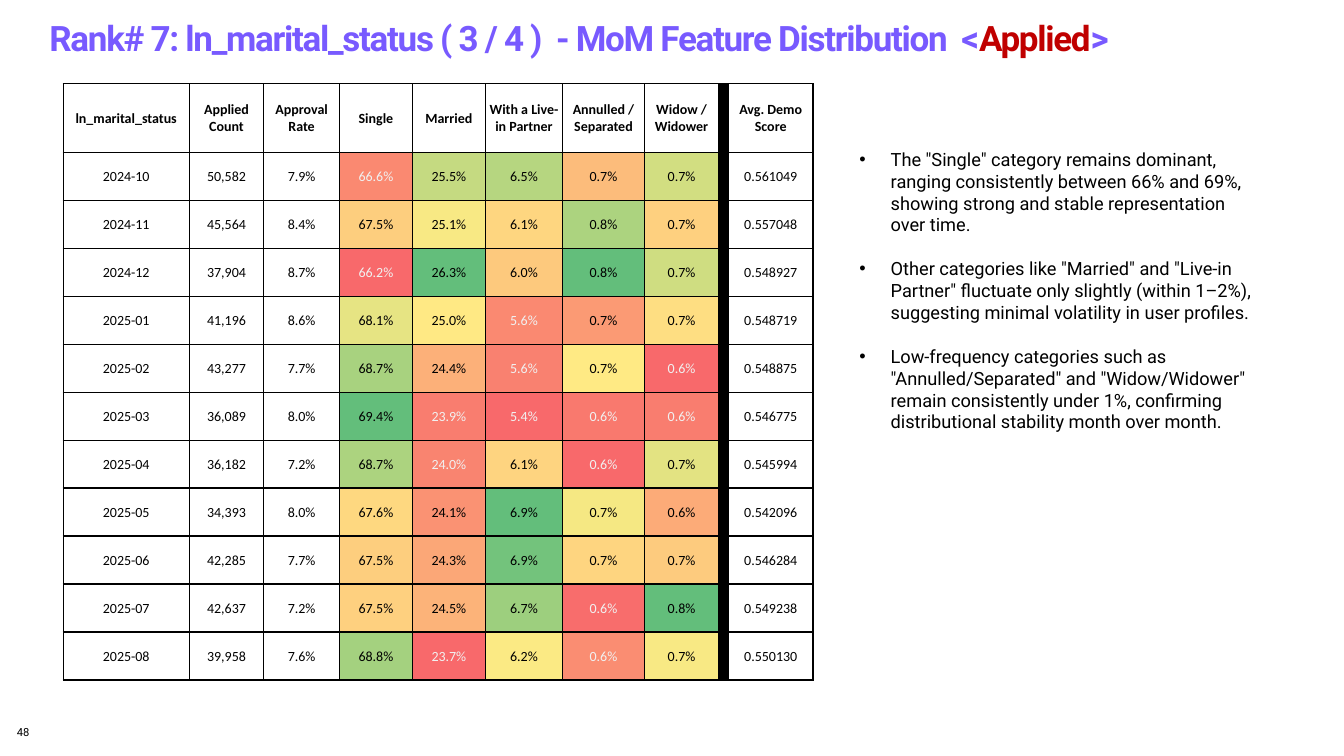
from typing import Any, NamedTuple

from lxml.etree import SubElement
from pptx import Presentation
from pptx.dml.color import RGBColor
from pptx.enum.text import MSO_ANCHOR, MSO_AUTO_SIZE, PP_ALIGN
from pptx.oxml.ns import qn
from pptx.util import Inches, Pt

SLIDE_WIDTH, SLIDE_HEIGHT = Inches(13.33), Inches(7.5)

COLOURS = {
    "ink": "000000",
    "pale": "F1F1F1",
    "violet": "785AFF",
    "red": "C00000",
}


class Box(NamedTuple):
    """Left, top, width and height in percent of the slide."""
    left: float
    top: float
    width: float
    height: float


class Column(NamedTuple):
    heading: str
    width: float  # percent of the slide width


class Month(NamedTuple):
    label: str
    applied: str
    approval: str
    shares: str
    heat: str  # fills of the five share cells
    score: str


TITLE_BOX = Box(3.68, 1.6, 96.32, 6.8)
FINDINGS_BOX = Box(63.2, 18.93, 30.8, 39.33)
NUMBER_BOX = Box(1.25, 95.95, 21.9, 3.33)
TABLE_BOX = Box(4.7, 11.07, 55.81, 78.93)
HEADER_HEIGHT = 9.07

COLUMNS = [
    Column("ln_marital_status", 9.38),
    Column("Applied Count", 5.55),
    Column("Approval Rate", 5.63),
    Column("Single", 5.43),
    Column("Married", 5.43),
    Column("With a Live-in Partner", 5.75),
    Column("Annulled / Separated", 6.08),
    Column("Widow / Widower", 5.54),
    Column("", 0.72),
    Column("Avg. Demo Score", 6.3),
]
DIVIDER = 8

MONTHS = [
    Month("2024-10", "50,582", "7.9%", "66.6% 25.5% 6.5% 0.7% 0.7%",
          "FA8971 C5DA81 B6D680 FCBC7B D2DE81", "0.561049"),
    Month("2024-11", "45,564", "8.4%", "67.5% 25.1% 6.1% 0.8% 0.7%",
          "FDCE7E F8E984 FED680 ACD37F FED07F", "0.557048"),
    Month("2024-12", "37,904", "8.7%", "66.2% 26.3% 6.0% 0.8% 0.7%",
          "F8696B 63BE7B FDC97D 63BE7B CFDD81", "0.548927"),
    Month("2025-01", "41,196", "8.6%", "68.1% 25.0% 5.6% 0.7% 0.7%",
          "E6E483 FFE984 FA8971 FB9A74 FEDE82", "0.548719"),
    Month("2025-02", "43,277", "7.7%", "68.7% 24.4% 5.6% 0.7% 0.6%",
          "A8D27F FCB079 F98170 FFEA84 F8696B", "0.548875"),
    Month("2025-03", "36,089", "8.0%", "69.4% 23.9% 5.4% 0.6% 0.6%",
          "63BE7B F97D6F F8696B F9796E F97D6F", "0.546775"),
    Month("2025-04", "36,182", "7.2%", "68.7% 24.0% 6.1% 0.6% 0.7%",
          "ACD37F F98470 FED480 F8696B E3E382", "0.545994"),
    Month("2025-05", "34,393", "8.0%", "67.6% 24.1% 6.9% 0.7% 0.6%",
          "FED880 FA9273 63BE7B F5E883 FCAB78", "0.542096"),
    Month("2025-06", "42,285", "7.7%", "67.5% 24.3% 6.9% 0.7% 0.7%",
          "FDCE7E FBA777 73C37C FED580 FDCB7E", "0.546284"),
    Month("2025-07", "42,637", "7.2%", "67.5% 24.5% 6.7% 0.6% 0.8%",
          "FED07F FCB379 9DCF7E F86D6C 63BE7B", "0.549238"),
    Month("2025-08", "39,958", "7.6%", "68.8% 23.7% 6.2% 0.6% 0.7%",
          "A4D17F F8696B FBEA84 FA8D72 F8E984", "0.550130"),
]

FINDINGS = [
    'The "Single" category remains dominant, ranging consistently between 66% and 69%, '
    'showing strong and stable representation over time.',
    'Other categories like "Married" and "Live-in Partner" fluctuate only slightly '
    '(within 1–2%), suggesting minimal volatility in user profiles.',
    'Low-frequency categories such as "Annulled/Separated" and "Widow/Widower" remain '
    'consistently under 1%, confirming distributional stability month over month.',
]

TITLE_FONT = {"name": "Roboto", "size": Pt(25), "bold": True}
FINDING_FONT = {"name": "Roboto", "size": Pt(13)}
NUMBER_FONT = {"name": "Roboto", "size": Pt(8)}
CELL_FONT = {"name": "Calibri", "size": Pt(10)}
NO_INSETS = {"margin_left": 0, "margin_top": 0, "margin_right": 0, "margin_bottom": 0}
CELL_FORMAT = {
    "vertical_anchor": MSO_ANCHOR.MIDDLE,
    "margin_left": Inches(0.01), "margin_top": Inches(0.01),
    "margin_right": Inches(0.01), "margin_bottom": 0,
}


def across(percent: float) -> int:
    return int(SLIDE_WIDTH * percent / 100)


def down(percent: float) -> int:
    return int(SLIDE_HEIGHT * percent / 100)


def place(box: Box) -> dict[str, int]:
    return {"left": across(box.left), "top": down(box.top),
            "width": across(box.width), "height": down(box.height)}


def assign(target: Any, values: dict[str, Any]) -> None:
    for attribute, value in values.items():
        setattr(target, attribute, value)


def style_font(font: Any, values: dict[str, Any], colour: str) -> None:
    assign(font, values)
    font.color.rgb = RGBColor.from_string(colour)


def write_title(title: Any) -> None:
    assign(title, place(TITLE_BOX))
    assign(title.text_frame, NO_INSETS | {
        "vertical_anchor": MSO_ANCHOR.TOP, "auto_size": MSO_AUTO_SIZE.NONE, "word_wrap": True})
    heading = title.text_frame.paragraphs[0]
    assign(heading, {"alignment": PP_ALIGN.LEFT, "line_spacing": 1.1})
    for words, colour in [
        ("Rank# 7: ln_marital_status ( 3 / 4 )  - MoM Feature Distribution  <", "violet"),
        ("Applied", "red"),
        (">", "violet"),
    ]:
        part = heading.add_run()
        part.text = words
        style_font(part.font, TITLE_FONT, COLOURS[colour])
        part._r.get_or_add_rPr().set("spc", "-90")


def write_findings(body: Any) -> None:
    assign(body, place(FINDINGS_BOX))
    frame = body.text_frame
    assign(frame, {"auto_size": MSO_AUTO_SIZE.SHAPE_TO_FIT_TEXT, "word_wrap": True})
    frame.text = "\n".join(FINDINGS)
    for order, finding in enumerate(frame.paragraphs):
        finding.space_before = Pt(15.7 if order else 0)
        indents = finding._p.get_or_add_pPr()
        indents.set("marL", str(Inches(0.31)))
        indents.set("indent", str(-Inches(0.31)))
        style_font(finding.runs[0].font, FINDING_FONT, COLOURS["ink"])


def add_borders(cell: Any) -> None:
    properties = cell._tc.get_or_add_tcPr()
    for position, side in enumerate(("lnL", "lnR", "lnT", "lnB")):
        border = SubElement(properties, qn(f"a:{side}"), w=str(Pt(1)))
        fill = SubElement(border, qn("a:solidFill"))
        SubElement(fill, qn("a:srgbClr"), val=COLOURS["ink"])
        properties.insert(position, border)


def fill_cell(cell: Any, words: str, heat: str, bold: bool) -> None:
    assign(cell, CELL_FORMAT)
    cell.text = words
    entry = cell.text_frame.paragraphs[0]
    entry.alignment = PP_ALIGN.CENTER
    # Strong reds, low in green, carry pale text
    pale = heat and words and int(heat[2:4], 16) < 0x90
    style_font(entry.font, CELL_FONT | {"bold": bold}, COLOURS["pale" if pale else "ink"])
    if heat:
        cell.fill.solid()
        cell.fill.fore_color.rgb = RGBColor.from_string(heat)
    else:
        cell.fill.background()
    add_borders(cell)


def add_distribution(slide: Any) -> None:
    table = slide.shapes.add_table(len(MONTHS) + 1, len(COLUMNS), **place(TABLE_BOX)).table
    assign(table, {"first_row": False, "horz_banding": False})
    for column, layout in zip(table.columns, COLUMNS):
        column.width = across(layout.width)
    month_height = (TABLE_BOX.height - HEADER_HEIGHT) / len(MONTHS)
    rows = [([column.heading for column in COLUMNS], [""] * len(COLUMNS))]
    for month in MONTHS:
        rows.append(([month.label, month.applied, month.approval,
                      *month.shares.split(), "", month.score],
                     ["", "", "", *month.heat.split(), "", ""]))
    for line, (entries, heats) in enumerate(rows):
        table.rows[line].height = down(month_height if line else HEADER_HEIGHT)
        heats[DIVIDER] = COLOURS["ink"]
        for place_in_row, (words, heat) in enumerate(zip(entries, heats)):
            fill_cell(table.cell(line, place_in_row), words, heat, bold=line == 0)


def add_page_number(slide: Any) -> None:
    frame = slide.shapes.add_textbox(**place(NUMBER_BOX)).text_frame
    assign(frame, NO_INSETS | {"word_wrap": True})
    frame.text = "48"
    style_font(frame.paragraphs[0].runs[0].font, NUMBER_FONT, COLOURS["ink"])


def main() -> None:
    deck = Presentation()
    assign(deck, {"slide_width": SLIDE_WIDTH, "slide_height": SLIDE_HEIGHT})
    slide = deck.slides.add_slide(deck.slide_layouts[1])
    write_title(slide.shapes.title)
    add_page_number(slide)
    write_findings(slide.placeholders[1])
    add_distribution(slide)
    deck.save("out.pptx")


if __name__ == "__main__":
    main()
